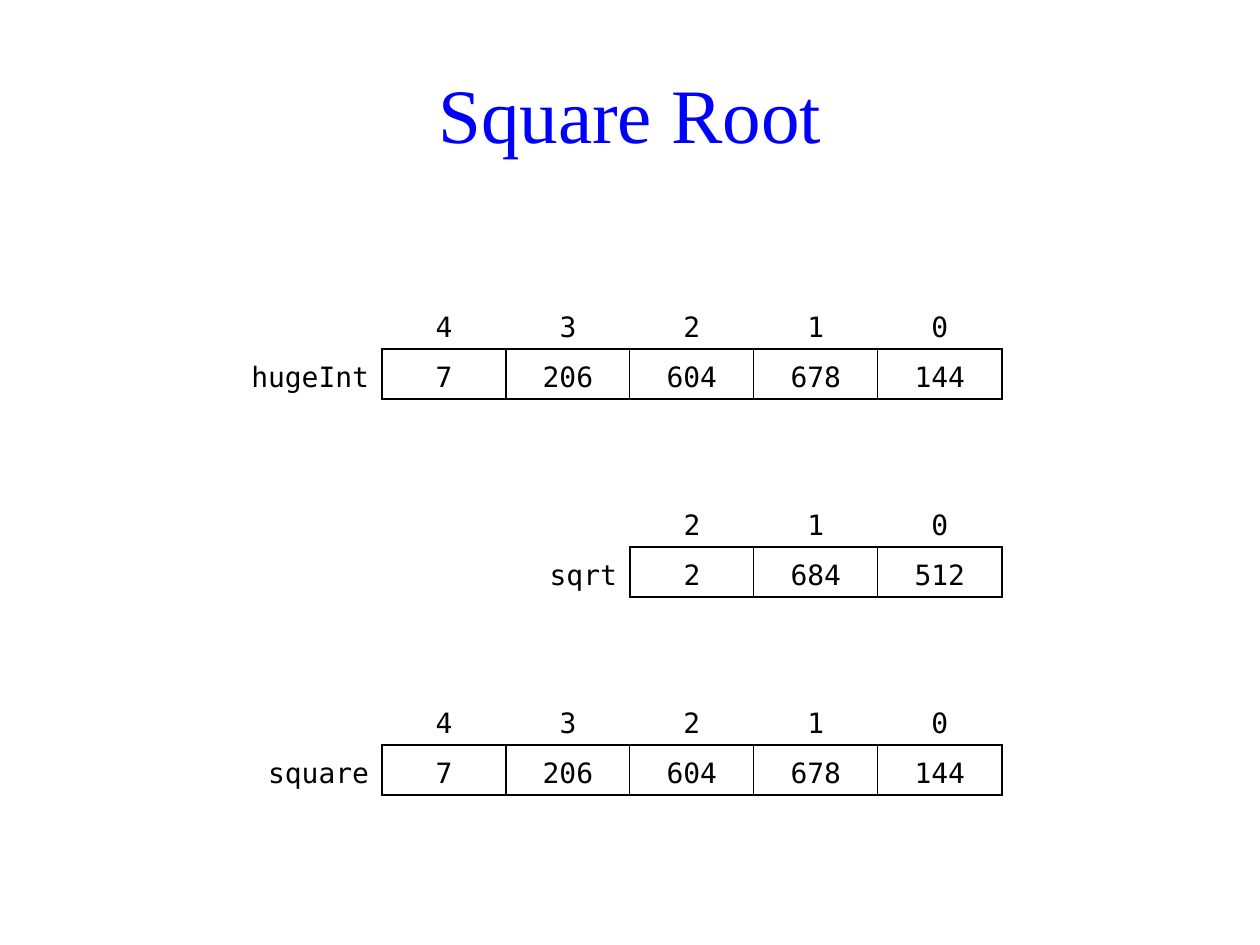
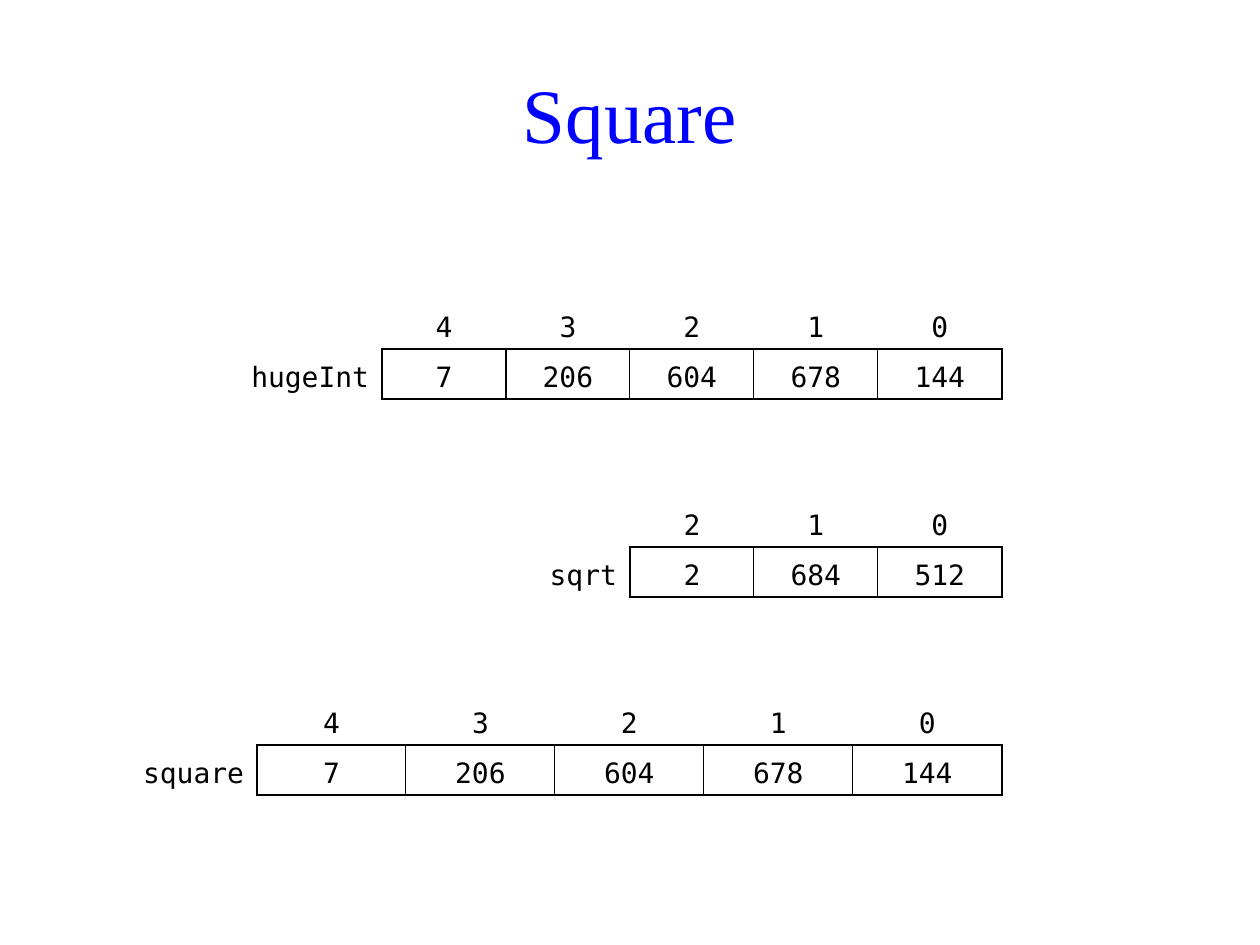
from dataclasses import dataclass
from lxml.etree import SubElement
from pptx import Presentation
from pptx.dml.color import RGBColor
from pptx.enum.text import MSO_ANCHOR as Anchor, PP_ALIGN as Align
from pptx.oxml.ns import qn
from pptx.util import Pt

HUGE_INT = ("hugeInt", ["7", "206", "604", "678", "144"])
SQRT = ("sqrt", ["2", "684", "512"])
SQUARE = ("square", ["7", "206", "604", "678", "144"])

HUGE_INT_ROW = dict(array=HUGE_INT, slot=0, label_width=149, digit_width=124)
SQRT_ROW = dict(array=SQRT, slot=1, label_width=99, digit_width=124)
SQUARE_ROW = dict(array=SQUARE, slot=2, label_width=124, digit_width=124)
WIDE_SQUARE_ROW = dict(SQUARE_ROW, digit_width=149)

SLIDES = [
    ("Square Root", [HUGE_INT_ROW, SQUARE_ROW, SQRT_ROW]),
    ("Square", [HUGE_INT_ROW, WIDE_SQUARE_ROW, SQRT_ROW]),
]

PAGE_WIDTH, PAGE_HEIGHT = 1260, 945
TITLE_BOX = (59, 51, 1142, 124)
TABLE_RIGHT, FIRST_TOP, SLOT_STEP = 1002, 299, 198
ROW_HEIGHT = 50
LABEL_INSETS = (8, 13)
TITLE_ONLY = 5


@dataclass(frozen=True)
class Theme:
    title_color: str = "0000FF"
    ink: str = "000000"
    title_font: str = "Times New Roman"
    code_font: str = "DejaVu Sans Mono"
    title_size: int = 44
    code_size: int = 16
    line_spacing: float = 1.25
    outer: float = 1.5
    inner: float = 0.75


THEME = Theme()


def px(length):
    return round(length * 914400 / 126)


def add_span(para, text, font_name, size, color):
    span = para.add_run()
    span.text = text
    span.font.name = font_name
    span.font.size = Pt(size)
    span.font.color.rgb = RGBColor.from_string(color)


def add_title(page, text):
    box = page.shapes.title
    box.left, box.top, box.width, box.height = map(px, TITLE_BOX)
    frame = box.text_frame
    frame.vertical_anchor = Anchor.MIDDLE
    para = frame.paragraphs[0]
    para.alignment = Align.CENTER
    add_span(para, text, THEME.title_font, THEME.title_size, THEME.title_color)


def set_borders(cell, **widths):
    properties = cell._tc.get_or_add_tcPr()
    for side in "LRTB":
        width = widths.get(side, 0)
        line = SubElement(properties, qn(f"a:ln{side}"), w=str(Pt(width)))
        if width:
            fill = SubElement(line, qn("a:solidFill"))
            SubElement(fill, qn("a:srgbClr"), val=THEME.ink)
        else:
            SubElement(line, qn("a:noFill"))
    cell.fill.background()


def fill_cell(cell, text, align=Align.CENTER, insets=(0, 0), **borders):
    cell.margin_left, cell.margin_right = map(px, insets)
    cell.margin_top = cell.margin_bottom = 0
    cell.vertical_anchor = Anchor.MIDDLE
    set_borders(cell, **borders)
    para = cell.text_frame.paragraphs[0]
    para.alignment = align
    para.line_spacing = THEME.line_spacing
    if text:
        add_span(para, text, THEME.code_font, THEME.code_size, THEME.ink)


def add_array(page, array, slot, label_width, digit_width):
    name, digits = array
    count = len(digits)
    width = label_width + count * digit_width
    frame = page.shapes.add_table(
        2, count + 1, px(TABLE_RIGHT - width), px(FIRST_TOP + slot * SLOT_STEP),
        px(width), px(2 * ROW_HEIGHT))
    table = frame.table
    table.first_row = table.horz_banding = False
    for row in table.rows:
        row.height = px(ROW_HEIGHT)
    for column, column_width in zip(table.columns, [label_width] + [digit_width] * count):
        column.width = px(column_width)

    outer, inner = THEME.outer, THEME.inner
    fill_cell(table.cell(0, 0), "")
    fill_cell(table.cell(1, 0), name, Align.RIGHT, LABEL_INSETS, R=outer)
    for position, digit in enumerate(digits, 1):
        fill_cell(table.cell(0, position), str(count - position), B=outer)
        fill_cell(table.cell(1, position), digit, T=outer, B=outer,
                  L=outer if position == 1 else inner,
                  R=outer if position == count else inner)


def main():
    deck = Presentation()
    deck.slide_width, deck.slide_height = px(PAGE_WIDTH), px(PAGE_HEIGHT)
    for title, arrays in SLIDES:
        page = deck.slides.add_slide(deck.slide_layouts[TITLE_ONLY])
        add_title(page, title)
        for options in arrays:
            add_array(page, **options)
    deck.save("out.pptx")


if __name__ == "__main__":
    main()
